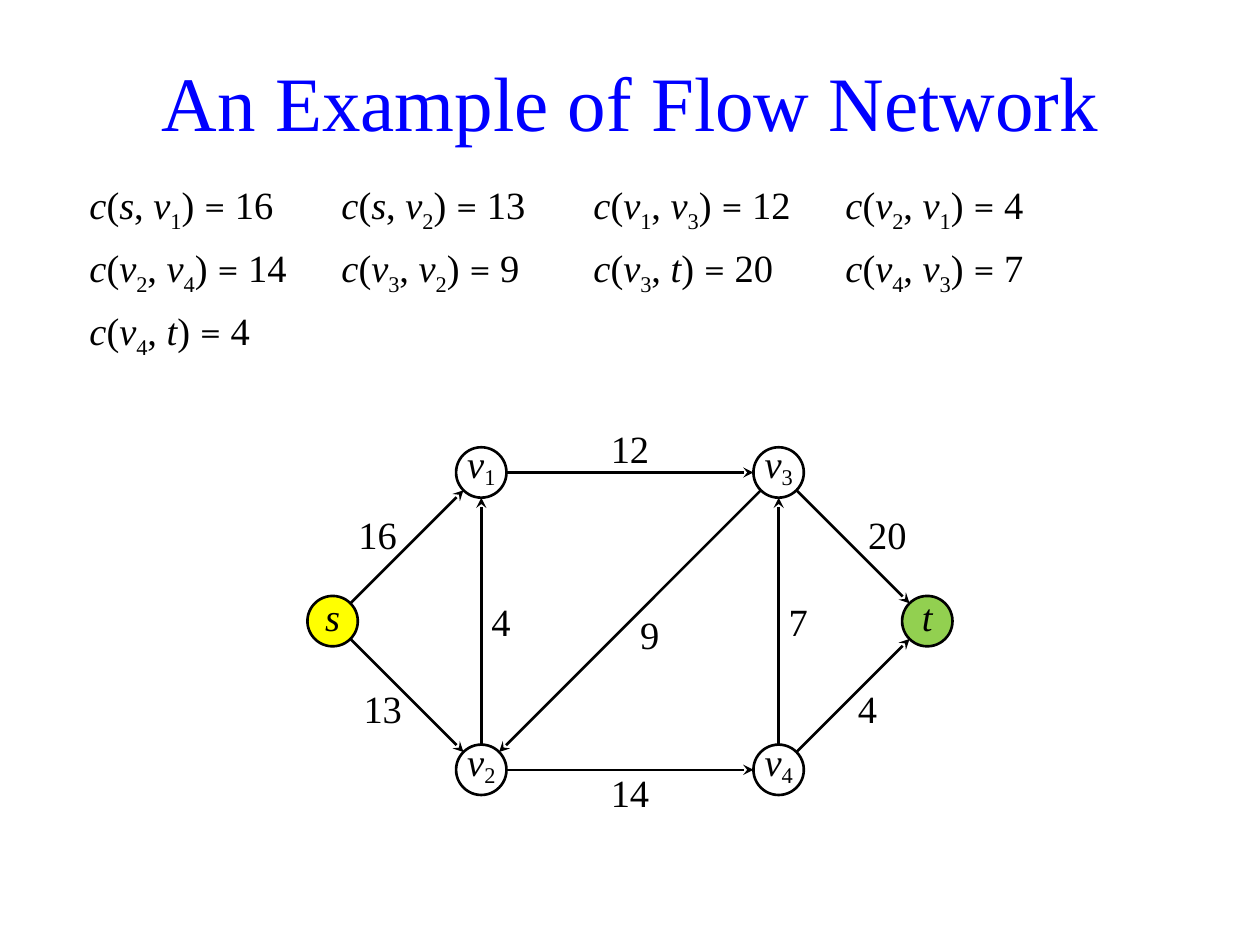
from math import hypot

from lxml import etree
from pptx import Presentation
from pptx.dml.color import RGBColor
from pptx.enum.shapes import MSO_CONNECTOR, MSO_SHAPE
from pptx.enum.text import MSO_ANCHOR, PP_ALIGN
from pptx.oxml.ns import qn
from pptx.util import Inches, Pt

LEFT, MID, RIGHT = PP_ALIGN.LEFT, PP_ALIGN.CENTER, PP_ALIGN.RIGHT
CENTER, BOTTOM, TOP = MSO_ANCHOR.MIDDLE, MSO_ANCHOR.BOTTOM, MSO_ANCHOR.TOP
OVAL, LINE = MSO_SHAPE.OVAL, MSO_CONNECTOR.STRAIGHT
FONT, MATH = "Times New Roman", "Cambria"
RADIUS = 0.2

NODES = {
    "v1": (1, 0, "FFFFFF"), "v2": (1, 2, "FFFFFF"),
    "v3": (3, 0, "FFFFFF"), "v4": (3, 2, "FFFFFF"),
    "s": (0, 1, "FFFF00"), "t": (4, 1, "92D050"),
}
EDGES = [
    ("s", "v1", 16, RIGHT, -0.08, -0.1),
    ("s", "v2", 13, RIGHT, -0.04, 0.1),
    ("v1", "v3", 12, MID, 0, -0.19),
    ("v2", "v1", 4, LEFT, 0.08, 0),
    ("v2", "v4", 14, MID, 0, 0.18),
    ("v3", "v2", 9, LEFT, 0.08, 0.1),
    ("v3", "t", 20, LEFT, 0.12, -0.1),
    ("v4", "v3", 7, LEFT, 0.08, 0),
    ("v4", "t", 4, LEFT, 0.04, 0.1),
]


def color(code):
    """Turn a hex string into a colour."""
    return RGBColor.from_string(code)


def add_run(para, text, base=0, size=22, tint="000000", **extra):
    """Add one formatted run to a paragraph."""
    run = para.add_run()
    run.text = text
    style = {"name": FONT, "size": Pt(size), "italic": False, **extra}
    for key, value in style.items():
        setattr(run.font, key, value)
    run.font.color.rgb = color(tint)
    if base:
        run.font._element.set("baseline", str(base * 1000))


def add_name(para, name, base):
    """Write a node name, with its index as a subscript."""
    add_run(para, name[0], italic=True)
    if name[1:]:
        add_run(para, name[1:], base=base)


def set_frame(frame, anchor, pads=(0, 0, 0, 0)):
    """Set anchor and margins, and return the first paragraph."""
    style = {"word_wrap": True, "vertical_anchor": anchor}
    for side, pad in zip(("left", "top", "right", "bottom"), pads):
        style["margin_" + side] = Inches(pad)
    for key, value in style.items():
        setattr(frame, key, value)
    return frame.paragraphs[0]


def add_title(slide, box):
    """Place and format the title."""
    title = slide.shapes.title
    for key, value in zip(("left", "top", "width", "height"), box):
        setattr(title, key, Inches(value))
    para = set_frame(title.text_frame, CENTER, (0.1, 0.05, 0.1, 0.05))
    para.alignment = MID
    add_run(para, "An Example of Flow Network", size=44, tint="0000FF")


def add_caps(slide, box, cols=4, step=2):
    """List the capacities in tabbed columns."""
    frame = slide.shapes.add_textbox(*map(Inches, box)).text_frame
    para = set_frame(frame, TOP, (0.04, 0.05, 0, 0.05))
    for start in range(0, len(EDGES), cols):
        if start:
            para = frame.add_paragraph()
            para.space_before = Pt(6)
        tabs = etree.SubElement(para._p.get_or_add_pPr(), qn("a:tabLst"))
        for col in range(1, cols):
            etree.SubElement(tabs, qn("a:tab"), pos=str(Inches(col * step)), algn="l")
        row = EDGES[start:start + cols]
        for num, (tail, head, cap, *_) in enumerate(row, 1):
            add_run(para, "c", italic=True)
            add_run(para, "(")
            add_name(para, tail, -25)
            add_run(para, ", ")
            add_name(para, head, -25)
            add_run(para, ") ")
            add_run(para, "=", name=MATH)
            add_run(para, f" {cap}" + ("\t" if num < len(row) else ""))


def add_label(slide, x, y, text, align, width=0.6, height=0.4):
    """Write an edge label, aligned at a point."""
    left = x - {LEFT: 0, MID: width / 2, RIGHT: width}[align]
    box = (left, y - height / 2, width, height)
    para = set_frame(slide.shapes.add_textbox(*map(Inches, box)).text_frame, CENTER)
    para.alignment = align
    add_run(para, text)


def add_node(slide, x, y, name, fill):
    """Draw a named circle around a point."""
    box = (x - RADIUS, y - RADIUS, 2 * RADIUS, 2 * RADIUS)
    node = slide.shapes.add_shape(OVAL, *map(Inches, box))
    node.shadow.inherit = False
    node.fill.solid()
    node.fill.fore_color.rgb = color(fill)
    node.line.color.rgb = color("000000")
    node.line.width = Pt(1.5)
    para = set_frame(node.text_frame, BOTTOM)
    para.alignment = MID
    add_name(para, name, -18)


def add_edge(slide, start, end):
    """Draw an arrow between the rims of two circles."""
    (x1, y1), (x2, y2) = start, end
    dist = hypot(x2 - x1, y2 - y1)
    dx, dy = (x2 - x1) / dist * RADIUS, (y2 - y1) / dist * RADIUS
    ends = (x1 + dx, y1 + dy, x2 - dx, y2 - dy)
    edge = slide.shapes.add_connector(LINE, *map(Inches, ends))
    edge.line.color.rgb = color("000000")
    edge.line.width = Pt(1.5)
    etree.SubElement(edge.line._get_or_add_ln(), qn("a:tailEnd"), type="stealth")
    etree.SubElement(edge._element.spPr, qn("a:effectLst"))


def add_graph(slide, box):
    """Draw the network on a grid of four by two steps."""
    left, top, width, height = box
    spots = {name: (left + col * width / 4, top + row * height / 2)
             for name, (col, row, _) in NODES.items()}
    for tail, head, cap, align, dx, dy in EDGES:
        (x1, y1), (x2, y2) = spots[tail], spots[head]
        add_label(slide, (x1 + x2) / 2 + dx, (y1 + y2) / 2 + dy, str(cap), align)
    for name, (_, _, fill) in NODES.items():
        add_node(slide, *spots[name], name, fill)
    for tail, head, *_ in EDGES:
        add_edge(slide, spots[tail], spots[head])


def main():
    """Build the slide and save it."""
    deck = Presentation()
    deck.slide_width, deck.slide_height = Inches(10), Inches(7.5)
    slide = deck.slides.add_slide(deck.slide_layouts[5])
    add_title(slide, (0.28, 0.21, 9.45, 1.18))
    add_caps(slide, (0.67, 1.39, 8.66, 1.57))
    add_graph(slide, (2.64, 3.75, 4.72, 2.36))
    deck.save("out.pptx")


if __name__ == "__main__":
    main()
